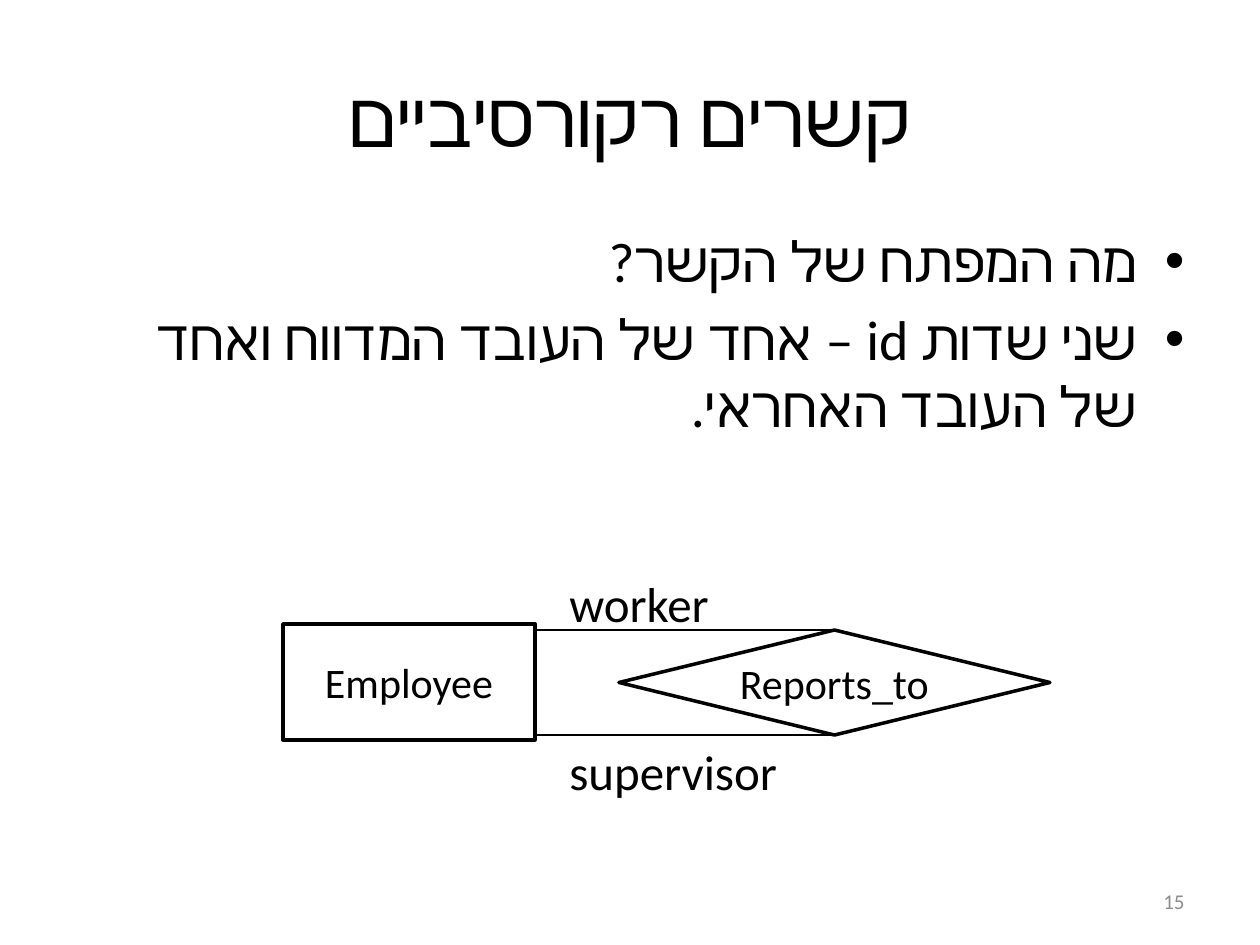
import pptx
import pptx.util
import pptx.dml.color
import pptx.enum.shapes
import pptx.enum.text
import pptx.oxml.ns
import lxml.etree

SCALE = 914400 / 126
BLACK = pptx.dml.color.RGBColor(0x00, 0x00, 0x00)
GRAY = pptx.dml.color.RGBColor(0x8C, 0x8C, 0x8C)
ALIGN = pptx.enum.text.PP_ALIGN
ANCHOR = pptx.enum.text.MSO_ANCHOR
FIT = pptx.enum.text.MSO_AUTO_SIZE
KIND = pptx.enum.shapes.MSO_SHAPE


def px(*vals):
    return [pptx.util.Emu(round(v * SCALE)) for v in vals]


def node(parent, tag, **attrs):
    return lxml.etree.SubElement(parent, pptx.oxml.ns.qn(tag), **attrs)


class Deck:
    """Holds the text style and the current slide, and draws each kind of element."""

    def __init__(self, font):
        self.font = font
        self.show = pptx.Presentation()
        self.show.slide_width, self.show.slide_height = px(1260, 945)
        self.slide = self.show.slides.add_slide(self.show.slide_layouts[5])

    def text(self, para, words, size, align, color=BLACK):
        para.alignment = align
        run = para.add_run()
        run.text = words
        run.font.size = pptx.util.Pt(size)
        run.font.name = self.font
        run.font.color.rgb = color
        node(run._r.get_or_add_rPr(), "a:cs", typeface=self.font)

    def title(self, words, box):
        shape = self.slide.shapes.title
        shape.left, shape.top, shape.width, shape.height = px(*box)
        shape.text_frame.vertical_anchor = ANCHOR.MIDDLE
        self.text(shape.text_frame.paragraphs[0], words, 44, ALIGN.CENTER)

    def frame(self, box, anchor=ANCHOR.TOP, fit=FIT.NONE):
        frame = self.slide.shapes.add_textbox(*px(*box)).text_frame
        frame.word_wrap = True
        frame.auto_size = fit
        frame.vertical_anchor = anchor
        return frame

    def label(self, words, box, size=28, align=ALIGN.LEFT, color=BLACK,
              anchor=ANCHOR.TOP, fit=FIT.SHAPE_TO_FIT_TEXT):
        frame = self.frame(box, anchor, fit)
        self.text(frame.paragraphs[0], words, size, align, color)

    def bullets(self, items, box):
        frame = self.frame(box)
        for i, words in enumerate(items):
            para = frame.add_paragraph() if i else frame.paragraphs[0]
            self.text(para, words, 32, ALIGN.RIGHT)
            para.space_before = pptx.util.Pt(6.4)
            props = para._p.get_or_add_pPr()
            props.set("marL", "342900")
            props.set("indent", "-342900")
            props.set("rtl", "1")
            node(props, "a:buFont", typeface="Arial")
            node(props, "a:buChar", char="•")

    def shape(self, kind, words, box):
        shape = self.slide.shapes.add_shape(kind, *px(*box))
        shape.shadow.inherit = False
        shape.fill.background()
        shape.line.color.rgb = BLACK
        shape.line.width = pptx.util.Pt(2)
        shape.text_frame.vertical_anchor = ANCHOR.MIDDLE
        self.text(shape.text_frame.paragraphs[0], words, 24, ALIGN.CENTER)
        return shape

    def link(self, shape, site, x, y):
        end = px(x, y)
        line = self.slide.shapes.add_connector(
            pptx.enum.shapes.MSO_CONNECTOR.STRAIGHT, *end, *end)
        line.begin_connect(shape, site)
        line.line.color.rgb = BLACK
        line.line.width = pptx.util.Pt(0.75)
        node(line._element.spPr, "a:effectLst")


def main():
    deck = Deck("Calibri")
    deck.title("קשרים רקורסיביים", (63, 38, 1134, 157))
    deck.bullets(["מה המפתח של הקשר?",
                  "שני שדות id – אחד של העובד המדווח ואחד של העובד האחראי."],
                 (63, 220, 1134, 624))
    deck.label("15", (903, 876, 294, 50), 12, ALIGN.RIGHT, GRAY,
               ANCHOR.MIDDLE, FIT.NONE)
    deck.shape(KIND.RECTANGLE, "Employee", (283, 624, 252, 116))
    report = deck.shape(KIND.FLOWCHART_DECISION, "Reports_to",
                        (619, 630, 431, 105))
    for site, y in ((0, 630), (2, 735)):
        deck.link(report, site, 535, y)
    for words, y in (("worker", 567), ("supervisor", 735)):
        deck.label(words, (557, y, 242, 72))
    deck.show.save("out.pptx")


if __name__ == "__main__":
    main()
